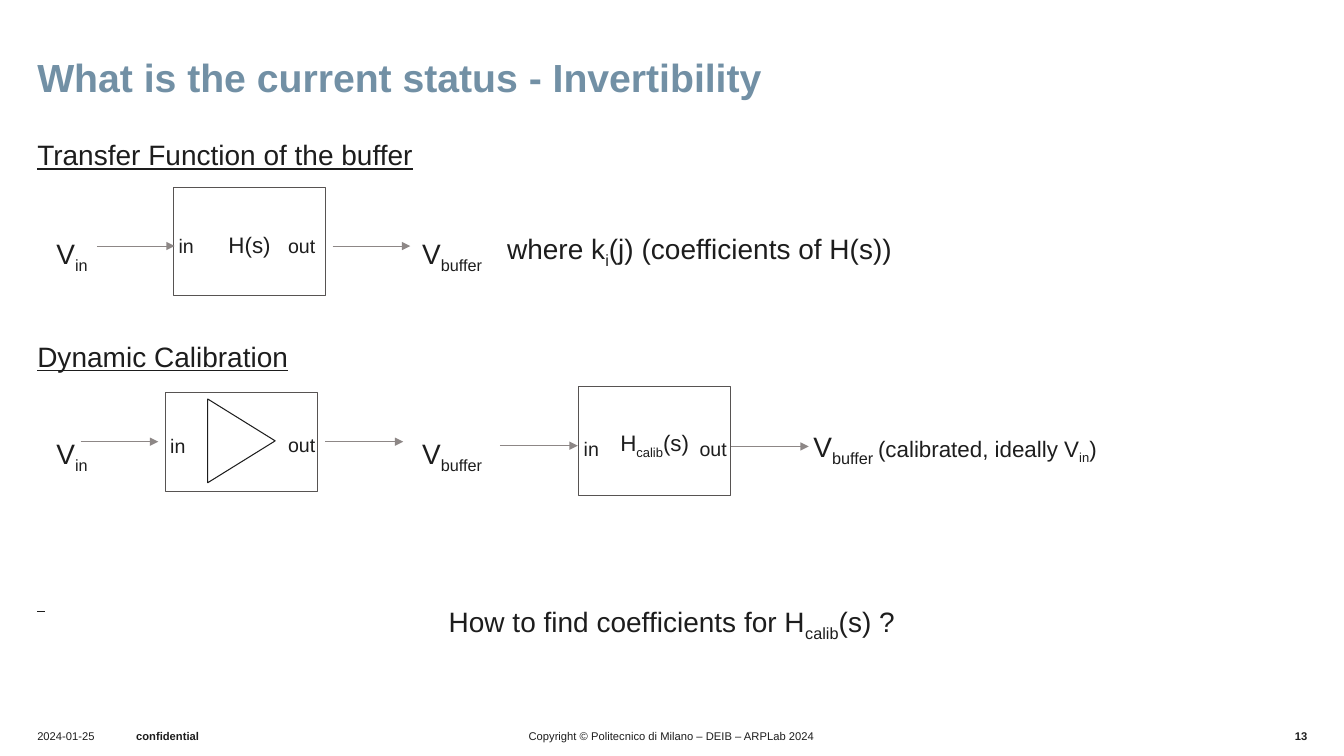
from itertools import zip_longest

from pptx import Presentation
from pptx import util as u
from pptx.dml.color import RGBColor
from pptx.enum import shapes, text
from pptx.oxml import ns
from lxml import etree

INK = RGBColor(0x1D, 0x1D, 0x1D)
TITLE_BLUE = RGBColor(0x72, 0x90, 0xA5)
ARROW_GREY = RGBColor(0x8D, 0x87, 0x86)
BOX_GREY = RGBColor(0x57, 0x53, 0x52)
WHITE = RGBColor(0xFF, 0xFF, 0xFF)

LEFT, CENTER, RIGHT = text.PP_ALIGN.LEFT, text.PP_ALIGN.CENTER, text.PP_ALIGN.RIGHT
TOP, MIDDLE, BOTTOM = text.MSO_ANCHOR.TOP, text.MSO_ANCHOR.MIDDLE, text.MSO_ANCHOR.BOTTOM

MARGIN = 0.94
ARROW_LENGTH = 1.96
BOX_WIDTH = 3.84
FOOTER_TOP = 18.03


class DiagramSlide:
    font = "Arial"
    line_width = u.Pt(0.75)

    def __init__(self, slide):
        self.slide = slide

    def set_text(self, frame, runs, size, sizes=(), align=LEFT, anchor=TOP, inset=0,
                 spacing=1.2, color=INK, bold=False, underline=False):
        """Fill a text frame; every second run is a subscript."""
        frame.margin_left = frame.margin_right = u.Cm(inset)
        frame.margin_top = frame.margin_bottom = u.Cm(inset)
        frame.vertical_anchor = anchor
        paragraph = frame.paragraphs[0]
        paragraph.alignment = align
        paragraph.line_spacing = spacing
        for index, (words, own_size) in enumerate(zip_longest(runs, sizes)):
            run = paragraph.add_run()
            run.text = words
            run.font.name = self.font
            run.font.size = u.Pt(own_size or size)
            run.font.bold = bold
            run.font.underline = underline
            run.font.color.rgb = color
            if index % 2:
                run.font._element.set("baseline", "-25000")

    def label(self, left, top, width, *runs, size=20, height=0.94, wrap=True, **style):
        shape = self.slide.shapes.add_textbox(
            u.Cm(left), u.Cm(top), u.Cm(width), u.Cm(height))
        shape.text_frame.word_wrap = wrap
        self.set_text(shape.text_frame, runs, size, **style)

    def port(self, left, top, name):
        self.label(left, top, 0.91, name, size=14, height=0.66)

    def footer(self, left, width, words, **style):
        self.label(left, FOOTER_TOP, width, words, size=8, height=1.02,
                   anchor=MIDDLE, spacing=1.0, **style)

    def outline(self, kind, left, top, width, height, color):
        shape = self.slide.shapes.add_shape(
            kind, u.Cm(left), u.Cm(top), u.Cm(width), u.Cm(height))
        shape.shadow.inherit = False
        shape.fill.background()
        shape.line.color.rgb = color
        shape.line.width = self.line_width
        return shape

    def block(self, left, top, *runs, height=2.74):
        shape = self.outline(shapes.MSO_SHAPE.RECTANGLE, left, top,
                             BOX_WIDTH, height, BOX_GREY)
        if runs:
            self.set_text(shape.text_frame, runs, 16, align=CENTER, anchor=MIDDLE, inset=0.2)

    def amplifier(self, left, top, width, height):
        shape = self.outline(shapes.MSO_SHAPE.ISOSCELES_TRIANGLE, left, top,
                             width, height, INK)
        shape.rotation = 90
        shape.fill.solid()
        shape.fill.fore_color.rgb = WHITE

    def line(self, left, top, length, color):
        connector = self.slide.shapes.add_connector(
            shapes.MSO_CONNECTOR.STRAIGHT,
            u.Cm(left), u.Cm(top), u.Cm(left + length), u.Cm(top))
        connector.line.color.rgb = color
        connector.line.width = self.line_width
        etree.SubElement(connector._element.spPr, ns.qn("a:effectLst"))
        return connector

    def arrow(self, left, top):
        connector = self.line(left, top, ARROW_LENGTH, ARROW_GREY)
        outline = connector._element.spPr.find(ns.qn("a:ln"))
        etree.SubElement(outline, ns.qn("a:tailEnd")).set("type", "triangle")


def main():
    presentation = Presentation()
    presentation.slide_width = u.Cm(33.87)
    presentation.slide_height = u.Cm(19.05)
    diagram = DiagramSlide(presentation.slides.add_slide(presentation.slide_layouts[6]))

    diagram.footer(31.88, 1.07, "13", bold=True, align=RIGHT)
    diagram.footer(12.62, 8.61, "Copyright © Politecnico di Milano – DEIB – ARPLab 2024",
                   align=CENTER, wrap=False)
    diagram.footer(3.43, 2.69, "confidential", bold=True, wrap=False)
    diagram.footer(MARGIN, 1.7, "2024-01-25", wrap=False)

    diagram.label(MARGIN, 0.53, 26.7, "What is the current status - Invertibility",
                  size=28, height=2.0, anchor=BOTTOM, spacing=1.0,
                  color=TITLE_BLUE, bold=True)
    for top, heading in ((3.3, "Transfer Function of the buffer"),
                         (8.38, "Dynamic Calibration")):
        diagram.label(MARGIN, top, 29.4, heading, underline=True)

    # Both signal chains start with the same input and buffer labels
    for top in (5.77, 10.8):
        diagram.label(1.42, top, 1.32, "V", "in")
        diagram.label(10.64, top, 1.96, "V", "buffer")

    # Transfer function
    diagram.block(4.37, 4.72, "H(s)")
    for left in (2.44, 8.38):
        diagram.arrow(left, 6.2)
    diagram.port(4.5, 5.77, "in")
    diagram.port(7.26, 5.77, "out")
    diagram.label(12.78, 5.64, 11.81, "where k", "i", "(j) (coefficients of H(s))")

    # Dynamic calibration
    diagram.block(4.17, 9.88, height=2.51)
    diagram.amplifier(5.03, 10.26, 2.11, 1.7)
    diagram.block(14.58, 9.75, "H", "calib", "(s)")
    for left, top in ((2.03, 11.13), (8.2, 11.13), (12.6, 11.23), (18.42, 11.25)):
        diagram.arrow(left, top)
    for left, top, name in ((4.29, 10.82, "in"), (7.26, 10.8, "out"),
                            (14.71, 10.9, "in"), (17.63, 10.9, "out")):
        diagram.port(left, top, name)
    diagram.label(20.5, 10.62, 8.41, "V", "buffer ", "(calibrated, ideally V", "in", ")",
                  sizes=(20, 20, 16, 16, 16))

    diagram.line(MARGIN, 15.42, 0.2, INK)
    diagram.label(9.35, 15.04, 15.16, "How to find coefficients for H", "calib", "(s) ?",
                  align=CENTER)

    presentation.save("out.pptx")


if __name__ == "__main__":
    main()
